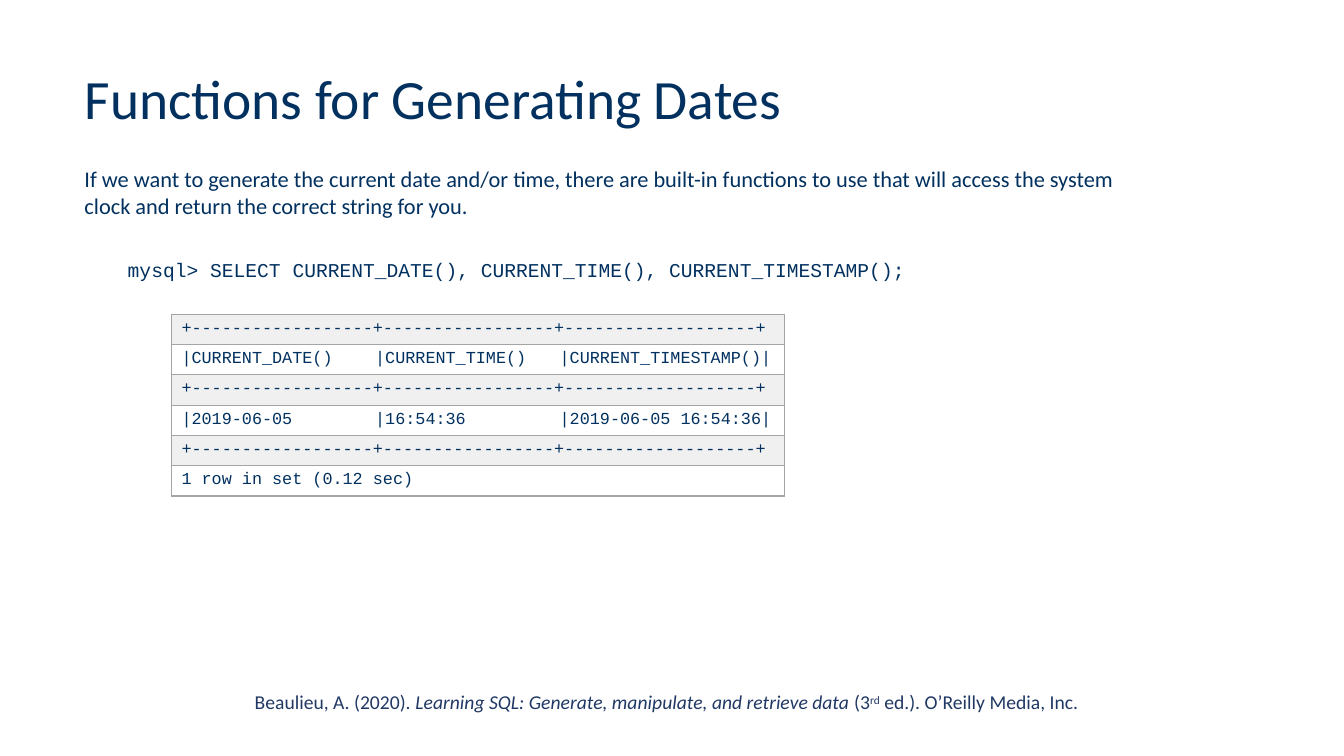
from dataclasses import dataclass

from lxml.etree import SubElement
from pptx import Presentation
from pptx.dml.color import RGBColor as Rgb
from pptx.enum.text import MSO_ANCHOR as Anchor, MSO_AUTO_SIZE as AutoSize, PP_ALIGN as Align
from pptx.oxml.ns import qn
from pptx.util import Cm, Pt


@dataclass(frozen=True)
class Theme:
    """Fonts, colours and type sizes of the deck."""
    sans: str = "Calibri"
    mono: str = "Courier New"
    ink: str = "023160"
    citation: str = "203864"
    border: str = "A5A5A5"
    band: str = "F0F0F0"
    paper: str = "FFFFFF"
    title_size: float = 39.6
    body_size: float = 16
    small_size: float = 14
    table_size: float = 12
    border_width: float = 1


class SlideBuilder:
    """Adds styled elements to one slide."""

    def __init__(self, page, theme):
        """Keep the slide and its theme."""
        self.page = page
        self.theme = theme

    def add_span(self, para, text, size, font=None, color=None, italic=False, raised=False):
        """Append one formatted run to a paragraph."""
        span = para.add_run()
        span.text = text
        span.font.name = font or self.theme.sans
        span.font.size = Pt(size)
        span.font.bold = False
        span.font.italic = italic
        span.font.color.rgb = Rgb.from_string(color or self.theme.ink)
        if raised:
            span._r.get_or_add_rPr().set("baseline", "30000")

    def title(self, text, left, top, width, height):
        """Place and fill the title placeholder."""
        box = self.page.shapes.title
        box.left, box.top, box.width, box.height = map(Cm, (left, top, width, height))
        frame = box.text_frame
        frame.auto_size = AutoSize.NONE
        frame.vertical_anchor = Anchor.MIDDLE
        para = frame.paragraphs[0]
        para.alignment = Align.LEFT
        para.line_spacing = 0.9
        self.add_span(para, text, self.theme.title_size)

    def text(self, spans, left, top, width, height, size, **style):
        """Add a wrapped text box made of (text, extra style) spans."""
        box = self.page.shapes.add_textbox(*map(Cm, (left, top, width, height)))
        frame = box.text_frame
        frame.word_wrap = True
        frame.auto_size = AutoSize.SHAPE_TO_FIT_TEXT
        for text, extra in spans:
            self.add_span(frame.paragraphs[0], text, size, **style, **extra)

    def set_borders(self, cell, sides):
        """Draw the named sides of a cell and clear the others."""
        properties = cell._tc.get_or_add_tcPr()
        for side in "LRTB":
            line = SubElement(properties, qn(f"a:ln{side}"), w=str(Pt(self.theme.border_width)))
            if side in sides:
                fill = SubElement(line, qn("a:solidFill"))
                SubElement(fill, qn("a:srgbClr"), val=self.theme.border)
            else:
                SubElement(line, qn("a:noFill"))

    def result_table(self, rows, left, top, widths, row_height):
        """Add a query result; rows with a single text span all columns."""
        last = len(widths) - 1
        table = self.page.shapes.add_table(
            len(rows), len(widths), Cm(left), Cm(top), Cm(sum(widths)), Cm(row_height * len(rows))
        ).table
        table.first_row = table.horz_banding = False
        for column, width in zip(table.columns, widths):
            column.width = Cm(width)
        for index, texts in enumerate(rows):
            table.rows[index].height = Cm(row_height)
            shade = self.theme.paper if index % 2 else self.theme.band
            for position in range(len(widths)):
                cell = table.cell(index, position)
                merged = len(texts) == 1
                sides = "TB" + "L" * (merged or position == 0) + "R" * (merged or position == last)
                self.set_borders(cell, sides)
                cell.fill.solid()
                cell.fill.fore_color.rgb = Rgb.from_string(shade)
            if len(texts) == 1:
                table.cell(index, 0).merge(table.cell(index, last))
            for position, text in enumerate(texts):
                para = table.cell(index, position).text_frame.paragraphs[0]
                self.add_span(para, text, self.theme.table_size, self.theme.mono)


def main():
    """Build the slide and save the deck."""
    theme = Theme()
    deck = Presentation()
    deck.slide_width, deck.slide_height = Cm(33.87), Cm(19.05)
    builder = SlideBuilder(deck.slides.add_slide(deck.slide_layouts[5]), theme)

    builder.title("Functions for Generating Dates", 1.88, 1.78, 29.21, 1.57)
    intro = (
        "If we want to generate the current date and/or time, there are built-in functions "
        "to use that will access the system clock and return the correct string for you."
    )
    builder.text([(intro, {})], 1.88, 4.04, 26.57, 1.63, theme.body_size)
    query = "mysql> SELECT CURRENT_DATE(), CURRENT_TIME(), CURRENT_TIMESTAMP();"
    builder.text([(query, {})], 2.97, 6.38, 22.68, 0.86, theme.small_size, font=theme.mono)

    rule = ["+------------------+-----------------+-------------------+"]
    rows = [
        rule,
        ["|CURRENT_DATE()", "|CURRENT_TIME()", "|CURRENT_TIMESTAMP()|"],
        rule,
        ["|2019-06-05", "|16:54:36", "|2019-06-05 16:54:36|"],
        rule,
        ["1 row in set (0.12 sec)"],
    ]
    builder.result_table(rows, 4.32, 7.92, (4.88, 4.65, 5.92), 0.76)

    citation = [
        ("Beaulieu, A. (2020). ", {}),
        ("Learning SQL: Generate, manipulate, and retrieve data", {"italic": True}),
        (" (3", {}),
        ("rd", {"raised": True}),
        (" ed.). O’Reilly Media, Inc.", {}),
    ]
    builder.text(citation, 6.17, 17.27, 21.49, 0.86, theme.small_size, color=theme.citation)
    deck.save("out.pptx")


if __name__ == "__main__":
    main()
